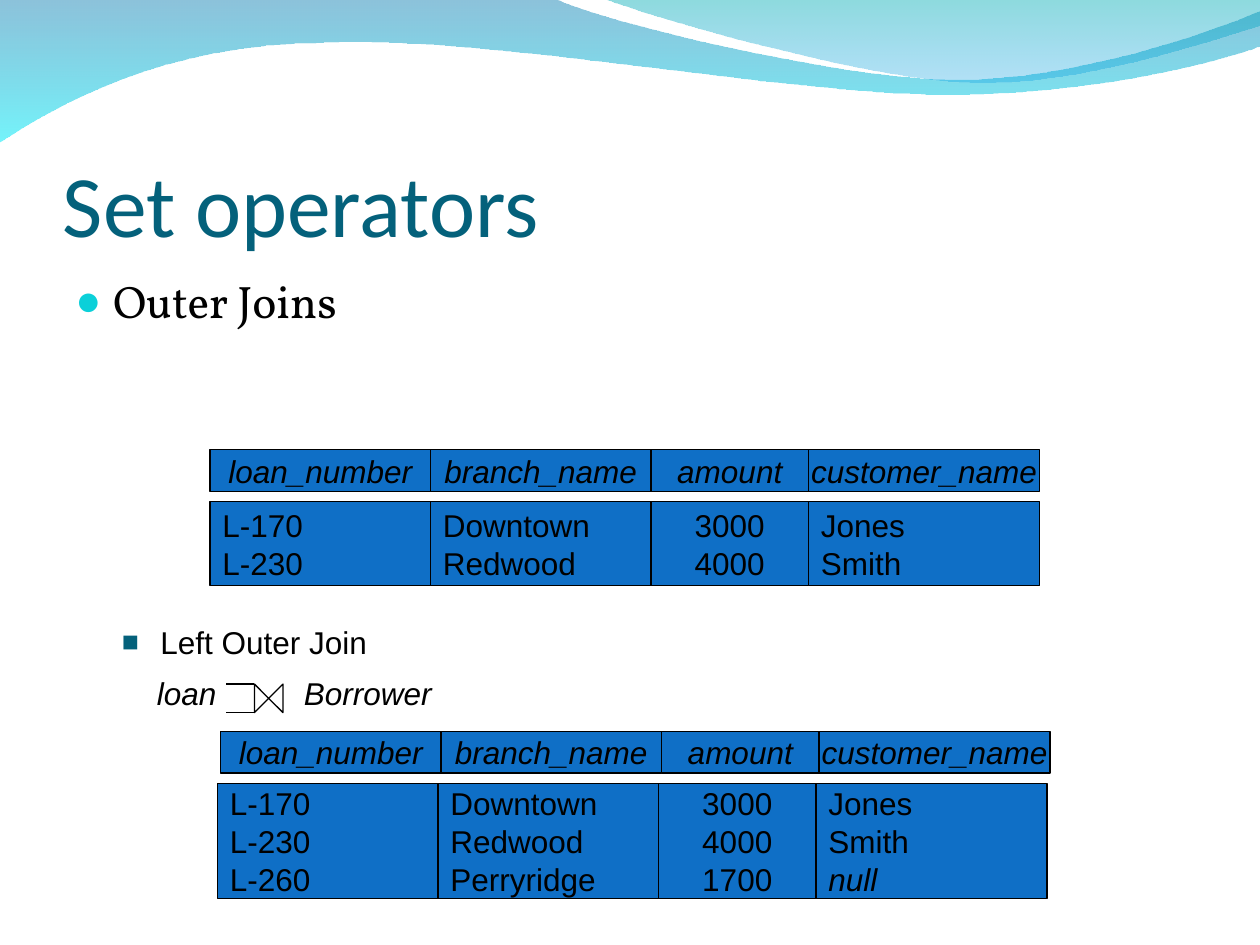
from lxml.etree import SubElement
from pptx import Presentation
from pptx.dml.color import RGBColor
from pptx.enum.shapes import MSO_CONNECTOR, MSO_SHAPE
from pptx.enum.text import MSO_ANCHOR, PP_ALIGN
from pptx.oxml.ns import qn
from pptx.util import Pt

BLACK = RGBColor(0x00, 0x00, 0x00)
TEAL = RGBColor(0x04, 0x61, 0x7B)
AQUA = RGBColor(0x0B, 0xD0, 0xD9)
CELL_BLUE = RGBColor(0x0F, 0x6F, 0xC6)

# Gradient stops: colour and opacity in percent
LONG_WAVE_STOPS = [(RGBColor(0x00, 0x79, 0xAF), 45), (RGBColor(0x00, 0xEB, 0xF8), 55)]
SHORT_WAVE_STOPS = [(RGBColor(0x00, 0xAD, 0xB6), 45), (RGBColor(0x00, 0x9B, 0xE5), 30)]

# Each segment holds one point (a line) or three (a Bezier curve)
LONG_WAVE = [
    [(0, -0.6)], [(317, -0.6)],
    [(343, 12), (478, 45), (546, 45.4)],
    [(614, 45.4), (690, 19), (720, 6.5)],
    [(720.6, 26)],
    [(708, 32), (626, 55), (537, 54)],
    [(448, 54), (275, 20), (185, 24.5)],
    [(93, 25), (33, 60), (-0.6, 81.4)],
]
SHORT_WAVE = [
    [(345, -0.6)],
    [(366, 8), (491, 44.5), (554, 47)],
    [(616, 49.5), (692, 23), (720, 15)],
    [(720, 0)],
]

COLUMN_WIDTHS = [126, 126, 90, 132]
HEADERS = ["loan_number", "branch_name", "amount", "customer_name"]
INNER_JOIN = [
    ["L-170", "Downtown", "3000", "Jones"],
    ["L-230", "Redwood", "4000", "Smith"],
]
LEFT_OUTER_JOIN = INNER_JOIN + [["L-260", "Perryridge", "1700", "null"]]


def bend_segments(sp, segments):
    """Turn the three lines of each curved segment into one Bezier curve."""
    lines = iter(list(sp.element.iter(qn("a:lnTo"))))
    for segment in segments[1:]:
        curve, *rest = [next(lines) for _ in segment]
        if rest:
            curve.tag = qn("a:cubicBezTo")
        for line in rest:
            curve.append(line[0])
            line.getparent().remove(line)


def add_wave(slide, segments, stops):
    points = [(Pt(x), Pt(y)) for segment in segments for x, y in segment]
    builder = slide.shapes.build_freeform(*points[0])
    builder.add_line_segments(points[1:], close=True)
    sp = builder.convert_to_shape()
    bend_segments(sp, segments)
    sp.shadow.inherit = False
    sp.line.fill.background()
    sp.fill.gradient()
    sp.fill.gradient_angle = 270
    for stop, (color, opacity) in zip(sp.fill.gradient_stops, stops):
        stop.color.rgb = color
    for node, (color, opacity) in zip(sp.element.iter(qn("a:srgbClr")), stops):
        SubElement(node, qn("a:alpha"), val=str(opacity * 1000))


def format_paragraph(p, size, font, color=BLACK, italic=False):
    for r in p.runs:
        r.font.size = Pt(size)
        r.font.name = font
        r.font.color.rgb = color
        r.font.italic = italic


def add_text(slide, box, text):
    tf = slide.shapes.add_textbox(*map(Pt, box)).text_frame
    tf.word_wrap = True
    tf.text = text
    return tf


def set_indent(p, left, first):
    pPr = p._p.get_or_add_pPr()
    pPr.set("marL", str(Pt(left)))
    pPr.set("indent", str(Pt(first)))
    return pPr


def add_bullet(p, char, color, percent, indent):
    pPr = set_indent(p, indent, -indent)
    SubElement(SubElement(pPr, qn("a:buClr")), qn("a:srgbClr"), val=str(color))
    SubElement(pPr, qn("a:buSzPct"), val=str(percent * 1000))
    SubElement(pPr, qn("a:buFont"), typeface="Arial")
    SubElement(pPr, qn("a:buChar"), char=char)


def add_title(slide, box, text):
    tf = add_text(slide, box, text)
    tf.margin_left = tf.margin_right = tf.margin_bottom = 0
    tf.vertical_anchor = MSO_ANCHOR.BOTTOM
    format_paragraph(tf.paragraphs[0], 50, "Calibri", TEAL)


def add_body(slide, box, text):
    p = add_text(slide, box, text).paragraphs[0]
    add_bullet(p, "●", AQUA, 95, 21.6)
    format_paragraph(p, 26, "Vollkorn")


def add_cell(slide, box, lines, centered, header=False):
    sp = slide.shapes.add_shape(MSO_SHAPE.RECTANGLE, *map(Pt, box))
    sp.shadow.inherit = False
    sp.fill.solid()
    sp.fill.fore_color.rgb = CELL_BLUE
    sp.line.color.rgb = BLACK
    sp.line.width = Pt(0.75)
    tf = sp.text_frame
    tf.word_wrap = False
    tf.vertical_anchor = MSO_ANCHOR.MIDDLE
    tf.text = "\n".join(lines)
    for p in tf.paragraphs:
        p.alignment = PP_ALIGN.CENTER if centered else PP_ALIGN.LEFT
        format_paragraph(p, 18, "Arial", italic=header or p.text == "null")


def add_relation(slide, left, top, body_left, body_height, rows):
    """Draw a header strip and, 29.8 pt below its top, one box per column."""
    offset = 0
    for name, width, values in zip(HEADERS, COLUMN_WIDTHS, zip(*rows)):
        add_cell(slide, (left + offset, top, width, 24), [name], True, header=True)
        add_cell(slide, (body_left + offset, top + 29.8, width, body_height),
                 values, name == "amount")
        offset += width


def add_outer_join_sign(slide, left, top, size, arm):
    """Draw a bow tie with two arms reaching to its left."""
    sp = slide.shapes.add_shape(MSO_SHAPE.FLOWCHART_COLLATE,
                                Pt(left), Pt(top), Pt(size), Pt(size))
    sp.rotation = 270
    sp.shadow.inherit = False
    sp.fill.background()
    sp.line.color.rgb = BLACK
    sp.line.width = Pt(0.75)
    for y in (top, top + size):
        line = slide.shapes.add_connector(MSO_CONNECTOR.STRAIGHT,
                                          Pt(left), Pt(y), Pt(left - arm), Pt(y))
        line.line.color.rgb = BLACK
        line.line.width = Pt(0.75)
        SubElement(line.element.spPr, qn("a:effectLst"))


def add_join_expression(slide, box):
    left, top = box[:2]
    tf = add_text(slide, box, "Left Outer Join\nloan\tBorrower")
    heading, expression = tf.paragraphs
    add_bullet(heading, "■", TEAL, 90, 22)
    expression.space_before = Pt(7.9)
    set_indent(expression, 104, -84)
    format_paragraph(heading, 18, "Arial")
    format_paragraph(expression, 18, "Arial", italic=True)
    add_outer_join_sign(slide, left + 82.8, top + 38.7, 16.3, 16)


def main():
    prs = Presentation()
    prs.slide_width, prs.slide_height = Pt(720), Pt(540)
    slide = prs.slides.add_slide(prs.slide_layouts[6])
    add_wave(slide, LONG_WAVE, LONG_WAVE_STOPS)
    add_wave(slide, SHORT_WAVE, SHORT_WAVE_STOPS)
    add_title(slide, (36, 55.5, 648, 90), "Set operators")
    add_body(slide, (36, 152.6, 648, 345.6), "Outer Joins")
    add_relation(slide, 120, 256.8, 120, 48, INNER_JOIN)
    add_relation(slide, 126, 417.8, 124.3, 66, LEFT_OUTER_JOIN)
    add_join_expression(slide, (62.6, 352.2, 333.4, 58))
    prs.save("out.pptx")


if __name__ == "__main__":
    main()
